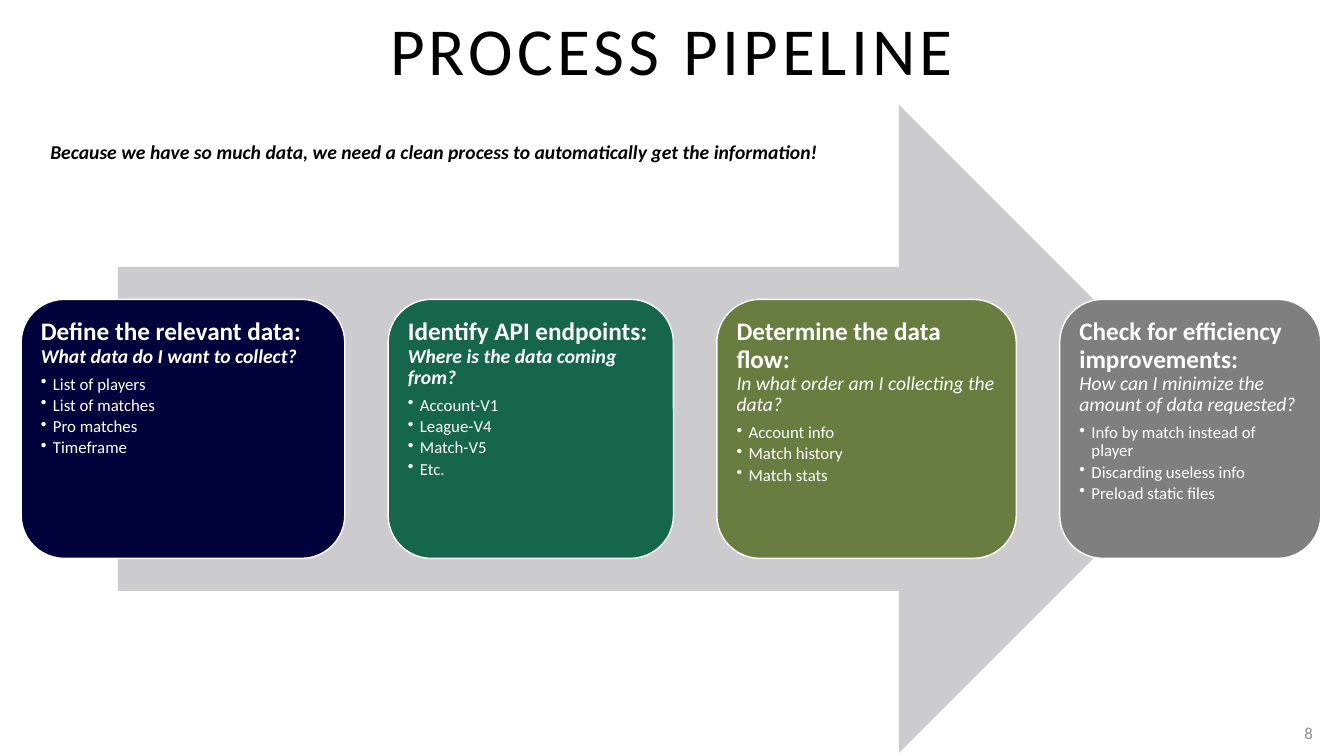
from pptx import Presentation
from pptx.dml.color import RGBColor
from pptx.enum.shapes import MSO_SHAPE
from pptx.enum.text import MSO_ANCHOR, MSO_AUTO_SIZE, PP_ALIGN
from pptx.oxml.ns import qn
from pptx.util import Inches, Pt
from lxml.etree import SubElement

FONT = "Calibri"
TITLE = "PROCESS PIPELINE"
MESSAGE = ("Because we have so much data, we need a clean process "
           "to automatically get the information!")
PAGE_NUMBER = "8"

# Width, fill, heading, question, question in bold, bullets
STEPS = [
    (3.21, "01023B", "Define the relevant data:", "What data do I want to collect?", True,
     ["List of players", "List of matches", "Pro matches", "Timeframe"]),
    (2.83, "16664B", "Identify API endpoints:", "Where is the data coming from?", True,
     ["Account-V1", "League-V4", "Match-V5", "Etc."]),
    (2.97, "697D40", "Determine the data flow:", "In what order am I collecting the data?", False,
     ["Account info", "Match history", "Match stats"]),
    (2.59, "7F7F7F", "Check for efficiency improvements:",
     "How can I minimize the amount of data requested?", False,
     ["Info by match instead of player", "Discarding useless info", "Preload static files"]),
]
CARD_LEFT, CARD_TOP, CARD_HEIGHT, CARD_GAP = 0.21, 2.97, 2.57, 0.43
CARD_INSET = 0.07
BULLET_INDENT = 0.12


def color(hex_string):
    return RGBColor.from_string(hex_string)


def place(left, top, width, height):
    return [Inches(value) for value in (left, top, width, height)]


def add_span(para, text, size, hex_color, bold=False, italic=False):
    span = para.add_run()
    span.text = text
    font = span.font
    font.name, font.size, font.bold, font.italic = FONT, Pt(size), bold, italic
    font.color.rgb = color(hex_color)
    return span


def add_shape(page, preset, box, fill):
    shape = page.shapes.add_shape(preset, *place(*box))
    shape.shadow.inherit = False
    shape.fill.solid()
    shape.fill.fore_color.rgb = color(fill)
    return shape


def add_label(page, box, text, size, hex_color, **style):
    frame = page.shapes.add_textbox(*place(*box)).text_frame
    frame.word_wrap = True
    add_span(frame.paragraphs[0], text, size, hex_color, **style)
    return frame


def add_bullet(para):
    properties = para._p.get_or_add_pPr()
    properties.set("marL", str(Inches(BULLET_INDENT)))
    properties.set("indent", str(-Inches(BULLET_INDENT)))
    SubElement(properties, qn("a:buChar")).set("char", "•")


def add_card(page, left, step):
    width, fill, heading, question, question_bold, bullets = step
    card = add_shape(page, MSO_SHAPE.ROUNDED_RECTANGLE,
                     (left, CARD_TOP, width, CARD_HEIGHT), fill)
    card.line.color.rgb = color("FFFFFF")
    card.line.width = Pt(1)
    frame = card.text_frame
    frame.word_wrap = True
    frame.vertical_anchor = MSO_ANCHOR.TOP
    frame.margin_left = frame.margin_right = Inches(CARD_INSET)
    frame.margin_top = frame.margin_bottom = Inches(CARD_INSET)

    # Text, size, bold, italic, space after, bulleted
    lines = [(heading, 18, True, False, 0, False),
             (question, 14, question_bold, True, 5.9, False)]
    lines += [(bullet, 12, False, False, 2.2, True) for bullet in bullets]
    for index, (text, size, bold, italic, after, bulleted) in enumerate(lines):
        para = frame.add_paragraph() if index else frame.paragraphs[0]
        para.alignment = PP_ALIGN.LEFT
        para.line_spacing = 0.9
        para.space_after = Pt(after)
        if bulleted:
            add_bullet(para)
        add_span(para, text, size, "FFFFFF", bold, italic)


def main():
    deck = Presentation()
    deck.slide_width, deck.slide_height = Inches(13.33), Inches(7.5)
    page = deck.slides.add_slide(deck.slide_layouts[5])

    # Title
    title = page.shapes.title
    title.left, title.top, title.width, title.height = place(0.65, 0.03, 12.03, 0.9)
    frame = title.text_frame
    frame.auto_size = MSO_AUTO_SIZE.NONE
    frame.vertical_anchor = MSO_ANCHOR.MIDDLE
    frame.paragraphs[0].alignment = PP_ALIGN.CENTER
    span = add_span(frame.paragraphs[0], TITLE, 48, "000000")
    span.font._element.set("spc", "300")

    # Background arrow
    arrow = add_shape(page, MSO_SHAPE.RIGHT_ARROW, (1.17, 1.04, 10.96, 6.43), "CCCCCE")
    arrow.line.fill.background()

    # Step cards, left to right with equal gaps
    left = CARD_LEFT
    for step in STEPS:
        add_card(page, left, step)
        left += step[0] + CARD_GAP

    # Message and page number
    add_label(page, (0.4, 1.34, 8.12, 0.52), MESSAGE, 14, "000000", bold=True, italic=True)
    number = add_label(page, (12.63, 7.07, 0.49, 0.4), PAGE_NUMBER, 12, "8C8C8C")
    number.vertical_anchor = MSO_ANCHOR.MIDDLE
    number.paragraphs[0].alignment = PP_ALIGN.RIGHT

    deck.save("out.pptx")


if __name__ == "__main__":
    main()
